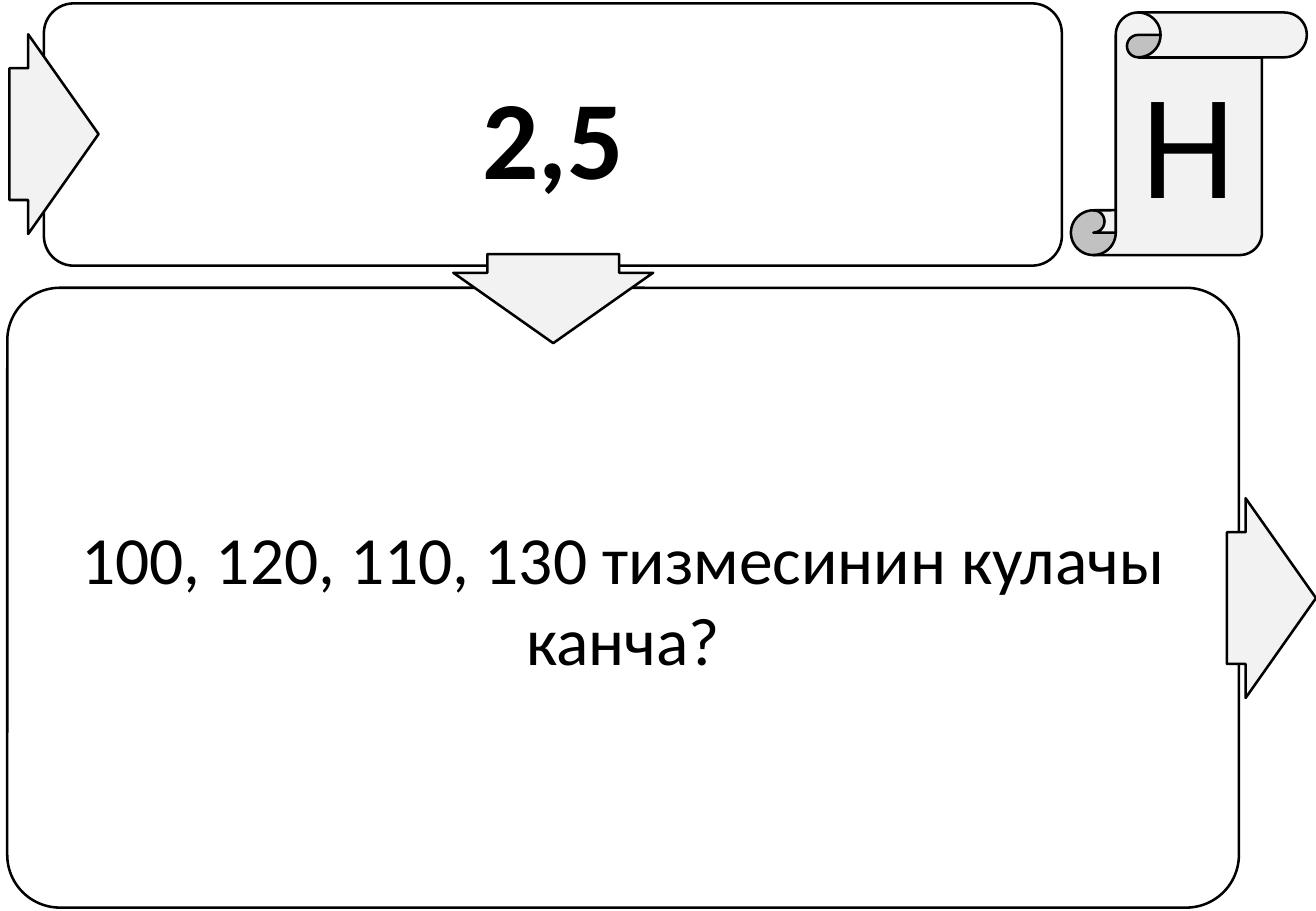
from pptx import Presentation
from pptx.dml.color import RGBColor
from pptx.enum.shapes import MSO_SHAPE
from pptx.enum.text import MSO_ANCHOR, PP_ALIGN
from pptx.util import Pt

COLORS = {"ink": "000000", "pale": "F2F2F2"}
FRAME = {
    "word_wrap": True,
    "vertical_anchor": MSO_ANCHOR.MIDDLE,
    "margin_left": Pt(7.9),
    "margin_right": Pt(7.9),
    "margin_top": Pt(3.6),
    "margin_bottom": Pt(3.6),
}


def color(name):
    return RGBColor.from_string(COLORS[name])


def apply(target, values):
    for name, value in values.items():
        setattr(target, name, value)


class Card:
    """Builds outlined shapes on one slide, measured in points."""

    def __init__(self, slide):
        self.slide = slide

    def shape(self, kind, box, adjust, fill=None):
        item = self.slide.shapes.add_shape(kind, *map(Pt, box))
        item.shadow.inherit = False
        for i, value in enumerate(adjust):
            item.adjustments[i] = value
        if fill:
            item.fill.solid()
            item.fill.fore_color.rgb = color(fill)
        else:
            item.fill.background()
        item.line.color.rgb = color("ink")
        item.line.width = Pt(1.5)
        return item

    def label(self, item, text, size, font="Calibri", bold=False):
        frame = item.text_frame
        apply(frame, FRAME)
        para = frame.paragraphs[0]
        para.alignment = PP_ALIGN.CENTER
        run = para.add_run()
        run.text = text
        apply(run.font, {"name": font, "size": Pt(size), "bold": bold})
        run.font.color.rgb = color("ink")

    def panel(self, box, adjust, text, size, bold=False):
        item = self.shape(MSO_SHAPE.ROUNDED_RECTANGLE, box, [adjust])
        self.label(item, text, size, bold=bold)

    def scroll(self, box, text, size):
        item = self.shape(MSO_SHAPE.VERTICAL_SCROLL, box, [0.19], "pale")
        self.label(item, text, size, font="Roboto")

    def arrow(self, left, top, turn=0):
        box = (left, top, 52.8, 118.4)
        item = self.shape(MSO_SHAPE.RIGHT_ARROW, box, [0.66, 0.79], "pale")
        item.rotation = turn


def main():
    deck = Presentation()
    apply(deck, {"slide_width": Pt(780), "slide_height": Pt(540)})
    card = Card(deck.slides.add_slide(deck.slide_layouts[6]))
    card.panel((4.3, 170.6, 730, 367.4), 0.085,
               "100, 120, 110, 130 тизмесинин кулачы канча?", 40)
    card.panel((26, 2, 603.4, 155.5), 0.114, "2,5", 66, bold=True)
    card.arrow(301.5, 117.8, turn=90)
    card.scroll((634.8, 7.4, 139.8, 143.8), "Н", 80)
    card.arrow(727.2, 295.3)
    card.arrow(5.6, 20.3)
    deck.save("out.pptx")


if __name__ == "__main__":
    main()
